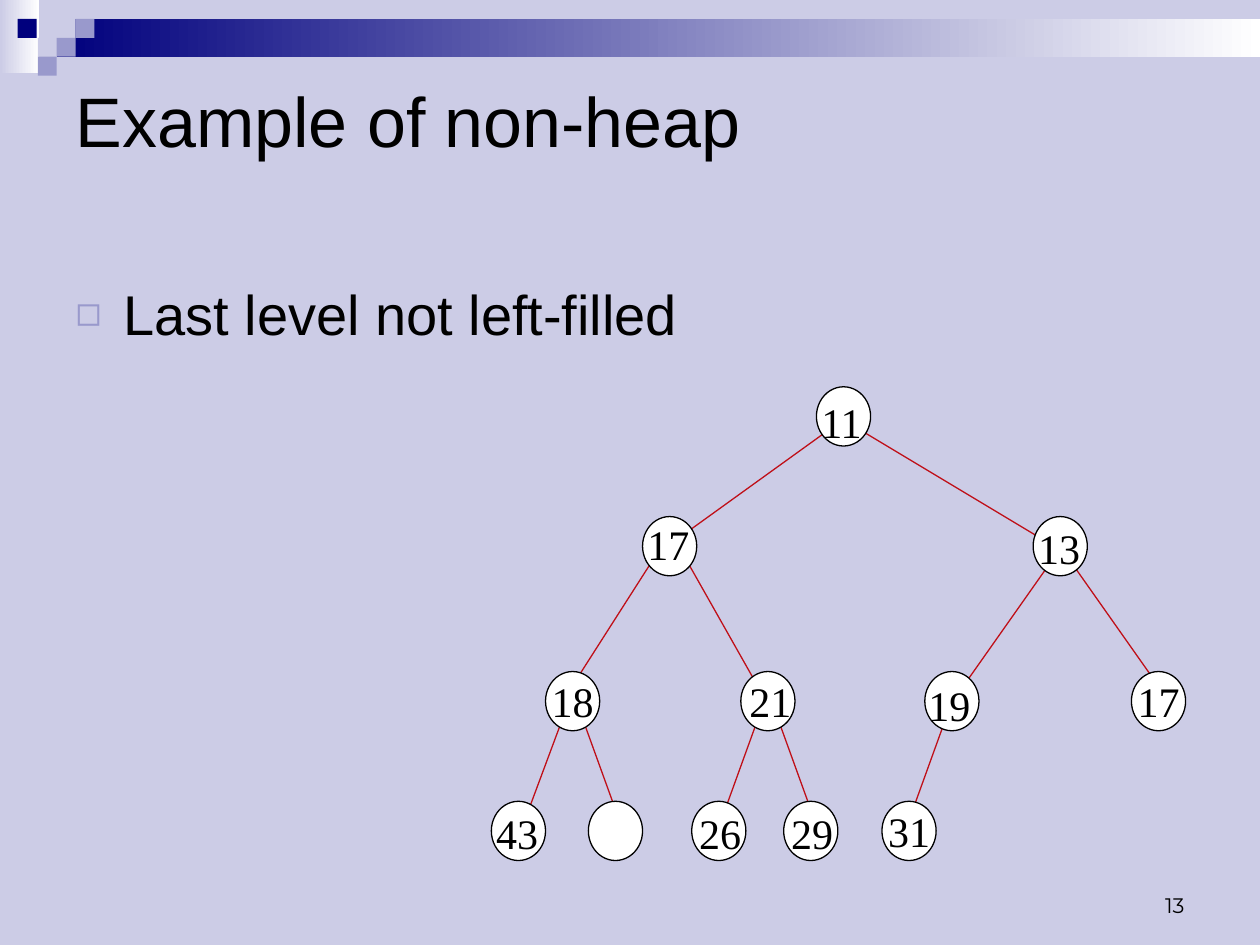
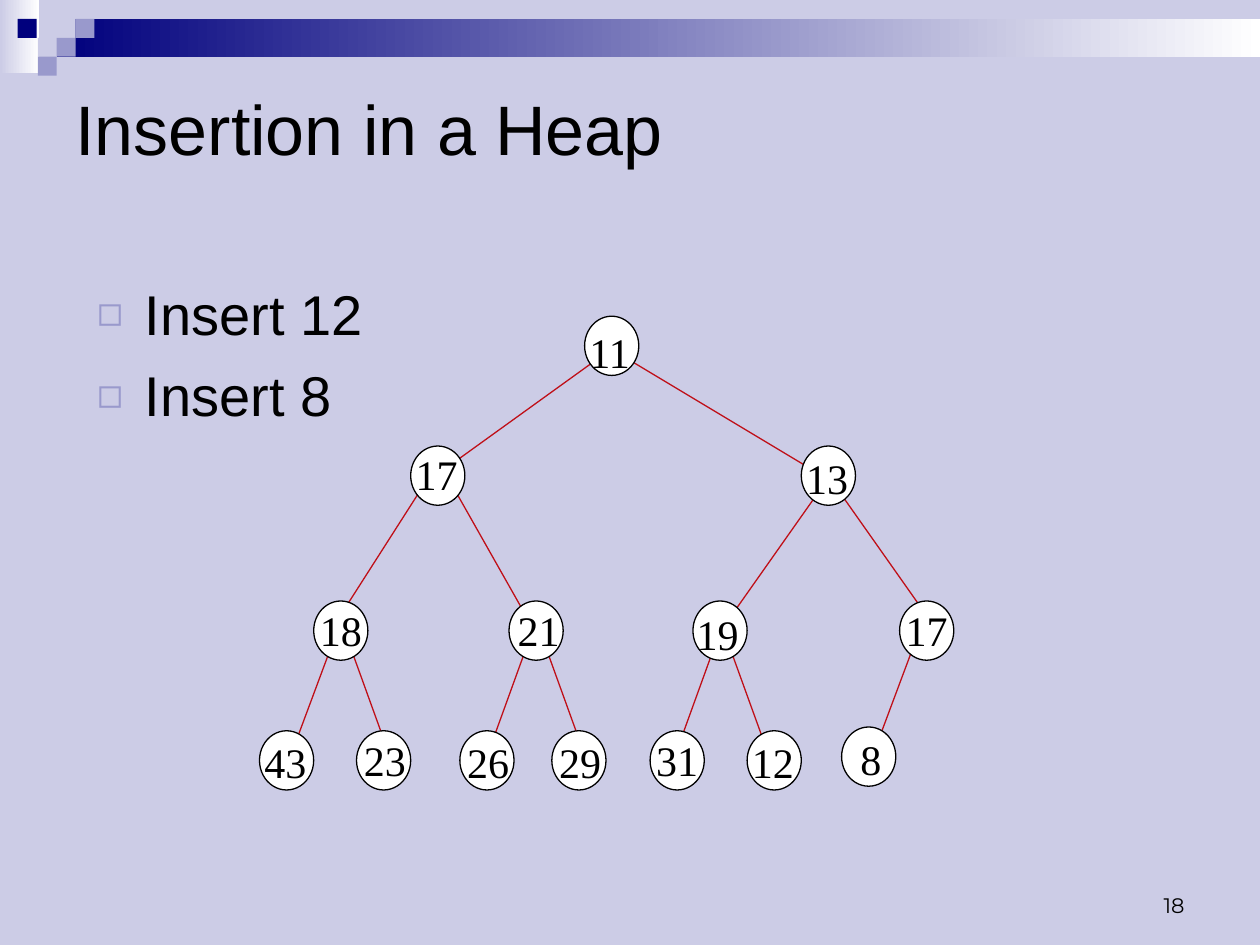
from lxml import etree
from pptx import Presentation
from pptx.dml.color import RGBColor
from pptx.enum.shapes import MSO_CONNECTOR, MSO_SHAPE
from pptx.enum.text import MSO_ANCHOR, MSO_AUTO_SIZE, PP_ALIGN
from pptx.oxml.ns import qn
from pptx.util import Inches, Pt

COLORS = {
    "lavender": "CCCCE6",
    "lilac": "9999CC",
    "navy": "00007D",
    "white": "FFFFFF",
    "black": "000000",
    "edge": "BF0F18",
}
RGB = {name: RGBColor.from_string(value) for name, value in COLORS.items()}

# Left, top, width, height, fill; two colours run from left to right
BAND = [
    (0, 0, 0.31, 0.58, ("lavender", "white")),
    (0.45, 0.15, 9.55, 0.3, ("navy", "white")),
    (0.45, 0.15, 0.15, 0.15, ("lavender",)),
    (0.6, 0, 0.15, 0.15, ("lavender",)),
    (0.6, 0.15, 0.15, 0.15, ("lilac",)),
    (0.3, 0.3, 0.15, 0.15, ("lavender",)),
    (0.14, 0.15, 0.15, 0.15, ("navy",)),
    (0.45, 0.3, 0.15, 0.15, ("lilac",)),
    (0.3, 0.45, 0.15, 0.15, ("lilac",)),
]

# Heap order, so node i has parent i // 2. Positions count from the root:
# key, x, y, label offset (x, y), edge x inside the parent and inside the node
NODES = [
    ("11", 0, 0, -0.06, 0.03, None, None),
    ("17", -1.38, 1.03, -0.06, -0.03, 0.17, 0.26),
    ("13", 1.72, 1.03, -0.06, 0, 0.26, 0.09),
    ("18", -2.15, 2.26, -0.05, -0.02, 0.18, 0.17),
    ("21", -0.6, 2.26, -0.03, -0.02, 0.26, 0.17),
    ("19", 0.86, 2.26, -0.07, 0.01, 0.26, 0.26),
    ("17", 2.5, 2.26, -0.05, -0.02, 0.18, 0.26),
    ("43", -2.58, 3.29, -0.06, 0, 0.17, 0.25),
    ("23", -1.81, 3.29, -0.04, -0.02, 0.26, 0.26),
    ("26", -0.99, 3.29, -0.04, 0, 0.17, 0.22),
    ("29", -0.26, 3.29, -0.04, 0, 0.26, 0.26),
    ("31", 0.52, 3.29, -0.05, -0.02, 0.2, 0.2),
    ("12", 1.29, 3.29, -0.06, 0, 0.26, 0.17),
    ("8", 2.04, 3.26, 0.05, 0, 0.14, 0.26),
]
NODE_W, NODE_H = 0.43, 0.47
# Edge y inside the parent and inside the child, by level of the child
EDGE_Y = {1: (0.29, 0.19), 2: (0.19, 0.18), 3: (0.28, 0.19)}

SLIDES = [
    {
        "title": "Example of non-heap", "title_h": 0.9,
        "bullets": ["Last level not left-filled"],
        "body": (0.5, 2.17, 5.3, 0.89),
        "root": (6.48, 3.07), "size": 12, "blank": {9}, "number": "13",
    },
    {
        "title": "Insertion in a Heap", "title_h": 1.03,
        "bullets": ["Insert 12", "Insert 8"],
        "body": (0.67, 2.17, 2.91, 1.91),
        "root": (4.64, 2.51), "size": 14, "blank": set(), "number": "18",
    },
]


def add_run(p, text, size, font):
    r = p.add_run()
    r.text = text
    r.font.size = Pt(size)
    r.font.name = font
    r.font.color.rgb = RGB["black"]


def place(sp, left, top, width, height):
    sp.left, sp.top = Inches(left), Inches(top)
    sp.width, sp.height = Inches(width), Inches(height)


prs = Presentation()
prs.slide_width, prs.slide_height = Inches(10), Inches(7.5)
master = prs.slide_master
master.background.fill.solid()
master.background.fill.fore_color.rgb = RGB["lavender"]
slides = [prs.slides.add_slide(prs.slide_layouts[1]) for _ in SLIDES]

# Band: drawn on a slide, then moved to the master that both slides share
for *box, fill in BAND:
    sp = slides[0].shapes.add_shape(MSO_SHAPE.RECTANGLE, *map(Inches, box))
    sp.shadow.inherit = False
    sp.line.fill.background()
    if len(fill) == 2:
        sp.fill.gradient()
        sp.fill.gradient_angle = 0
        for stop, name in zip(sp.fill.gradient_stops, fill):
            stop.color.rgb = RGB[name]
    else:
        sp.fill.solid()
        sp.fill.fore_color.rgb = RGB[fill[0]]
    master.shapes.element.append(sp.element)

for s, content in zip(slides, SLIDES):
    title, body = s.placeholders
    place(title, 0.5, 0.5, 9, content["title_h"])
    tf = title.text_frame
    tf.auto_size = MSO_AUTO_SIZE.NONE
    tf.vertical_anchor = MSO_ANCHOR.MIDDLE
    tf.paragraphs[0].alignment = PP_ALIGN.LEFT
    add_run(tf.paragraphs[0], content["title"], 40, "Arial")

    place(body, *content["body"])
    tf = body.text_frame
    tf.auto_size = MSO_AUTO_SIZE.NONE
    for i, text in enumerate(content["bullets"]):
        p = tf.add_paragraph() if i else tf.paragraphs[0]
        pPr = p._p.get_or_add_pPr()
        pPr.set("marL", str(Inches(0.38)))
        pPr.set("indent", str(-Inches(0.38)))
        color = etree.SubElement(pPr, qn("a:buClr"))
        etree.SubElement(color, qn("a:srgbClr"), val=COLORS["lilac"])
        etree.SubElement(pPr, qn("a:buSzPct"), val="75000")
        etree.SubElement(pPr, qn("a:buChar"), char="◻")
        p.space_before = Pt(8 if i else 0)
        add_run(p, text, 32, "Arial")

    root_x, root_y = content["root"]
    nodes = NODES[:content["size"]]

    # Edges first, so that the nodes cover their ends
    for i, (_, x, y, _, _, from_x, to_x) in enumerate(nodes[1:], start=2):
        parent_x, parent_y = NODES[i // 2 - 1][1:3]
        from_y, to_y = EDGE_Y[i.bit_length() - 1]
        line = s.shapes.add_connector(
            MSO_CONNECTOR.STRAIGHT,
            Inches(root_x + parent_x + from_x), Inches(root_y + parent_y + from_y),
            Inches(root_x + x + to_x), Inches(root_y + y + to_y))
        line.line.color.rgb = RGB["edge"]
        line.line.width = Pt(0.75)
        etree.SubElement(line.element.spPr, qn("a:effectLst"))

    for i, (key, x, y, dx, dy, _, _) in enumerate(nodes, start=1):
        left, top = root_x + x, root_y + y
        sp = s.shapes.add_shape(MSO_SHAPE.OVAL, Inches(left), Inches(top),
                                Inches(NODE_W), Inches(NODE_H))
        sp.shadow.inherit = False
        sp.fill.solid()
        sp.fill.fore_color.rgb = RGB["white"]
        sp.line.color.rgb = RGB["black"]
        sp.line.width = Pt(0.75)
        if i in content["blank"]:
            continue
        label = s.shapes.add_textbox(Inches(left + dx), Inches(top + dy),
                                     Inches(0.2 + 0.165 * len(key)), Inches(0.5))
        tf = label.text_frame
        tf.word_wrap = False
        tf.auto_size = MSO_AUTO_SIZE.SHAPE_TO_FIT_TEXT
        add_run(tf.paragraphs[0], key, 24, "Times New Roman")

    number = s.shapes.add_textbox(Inches(7.17), Inches(6.83), Inches(2.33), Inches(0.5))
    tf = number.text_frame
    tf.word_wrap = True
    tf.vertical_anchor = MSO_ANCHOR.BOTTOM
    tf.paragraphs[0].alignment = PP_ALIGN.RIGHT
    add_run(tf.paragraphs[0], content["number"], 12, "Montserrat")

prs.save("out.pptx")
